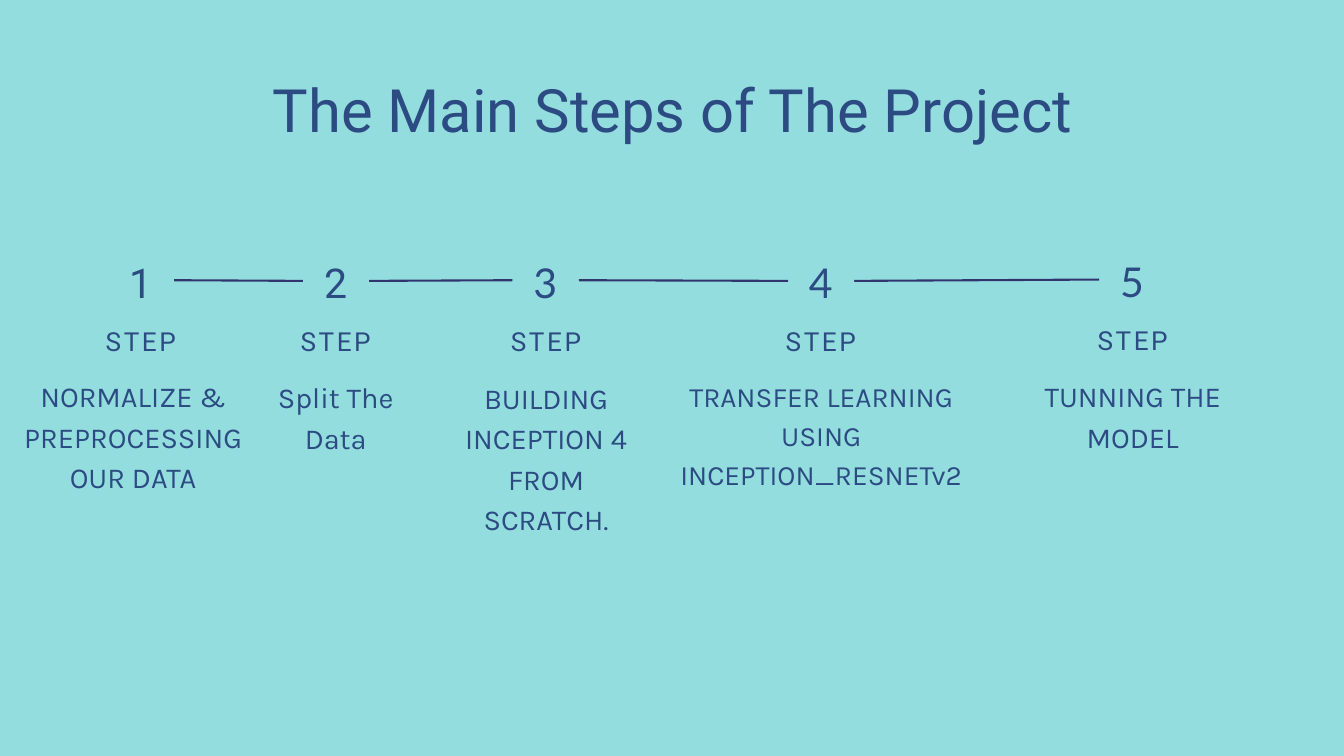
from itertools import pairwise
from pptx import Presentation
from pptx.dml.color import RGBColor as RGB
from pptx.enum.shapes import MSO_CONNECTOR as Conn, MSO_SHAPE as Shape
from pptx.enum.text import MSO_ANCHOR as Anchor, MSO_AUTO_SIZE as Auto, PP_ALIGN as Align
from pptx.oxml.ns import qn
from pptx.util import Emu, Pt
from lxml.etree import SubElement

AQUA = RGB(0x94, 0xDD, 0xDE)
BLUE = RGB(0x2B, 0x4B, 0x82)
NAVY = RGB(0x31, 0x35, 0x6E)
UNIT = 9144
FRAME = dict(margin_left=0, margin_right=0, margin_top=0, margin_bottom=0,
             word_wrap=True, auto_size=Auto.NONE)
STEPS = [
    dict(font="Roboto", left=161, top=360, rule=417, head=(75, 476, 269),
         body=(0, 555, 396, 176), size=31, lines=["NORMALIZE & PREPROCESSING OUR DATA"]),
    dict(font="Roboto", left=451, top=360, rule=418, head=(368, 477, 263),
         body=(368, 557, 263, 116), size=31, lines=["Split The Data"]),
    dict(font="Lato", left=763, top=360, rule=417, head=(678, 477, 269),
         body=(678, 557, 269, 235), size=31, lines=["BUILDING INCEPTION 4", "FROM SCRATCH."]),
    dict(font="Lato", left=1173, top=360, rule=418, head=(1075, 477, 293),
         body=(1000, 556, 444, 169), size=30, lines=["TRANSFER LEARNING USING INCEPTION_RESNETv2"]),
    dict(font="Lato", left=1636, top=359, rule=416, head=(1531, 475, 309),
         body=(1531, 555, 309, 116), size=31, lines=["TUNNING THE MODEL"]),
]


def px(*nums):
    return [Emu(n * UNIT) for n in nums]


def apply(obj, vals):
    for name, val in vals.items():
        setattr(obj, name, val)


class Deck:
    """Hold the style and the current slide, and draw each kind of element."""

    def __init__(self):
        self.prs = Presentation()
        self.prs.slide_width, self.prs.slide_height = px(2000, 1125)
        self.slide = self.prs.slides.add_slide(self.prs.slide_layouts[5])
        self.shapes = self.slide.shapes
        fill = self.slide.background.fill
        fill.solid()
        fill.fore_color.rgb = AQUA

    def style(self, shape, lines, font, size, lead, track=0, anchor=Anchor.TOP):
        frame = shape.text_frame
        apply(frame, dict(FRAME, vertical_anchor=anchor))
        frame.text = "\n".join(lines)
        for para in frame.paragraphs:
            apply(para, dict(alignment=Align.CENTER, line_spacing=Pt(lead),
                             space_before=Pt(0)))
            run = para.runs[0]
            apply(run.font, dict(name=font, size=Pt(size)))
            run.font.color.rgb = BLUE
            if track:
                run.font._element.set("spc", str(round(track * 100)))

    def title(self, text, box):
        shape = self.shapes.title
        apply(shape, dict(zip(("left", "top", "width", "height"), px(*box))))
        self.style(shape, [text], "Roboto", 64, 67.2)

    def text(self, lines, box, *form, **more):
        self.style(self.shapes.add_textbox(*px(*box)), lines, *form, **more)

    def patch(self, box):
        shape = self.shapes.add_shape(Shape.RECTANGLE, *px(*box))
        shape.shadow.inherit = False
        shape.fill.solid()
        shape.fill.fore_color.rgb = AQUA
        shape.line.fill.background()

    def rule(self, *ends):
        line = self.shapes.add_connector(Conn.STRAIGHT, *px(*ends))
        line.line.color.rgb = NAVY
        line.line.width = Pt(2.25)
        SubElement(line._element.spPr, qn("a:effectLst"))

    def step(self, num, font, left, top, rule, head, body, size, lines):
        if num > 1:
            self.patch((left, top + 9, 98, 97))
        self.text([str(num)], (left, top, 97, 106), font, 44, 61.6,
                  track=7.5, anchor=Anchor.MIDDLE)
        self.text(["STEP"], (*head, 52), "Roboto", 28, 39.2, track=2.8)
        self.text(lines, body, "Karla", size, size * 1.4)


def main():
    deck = Deck()
    deck.title("The Main Steps of The Project", (118, 122, 1765, 97))
    for a, b in pairwise(STEPS):
        deck.rule(a["left"] + 98, a["rule"], b["left"], b["rule"])
    for num, step in enumerate(STEPS, 1):
        deck.step(num, **step)
    deck.prs.save("out.pptx")


if __name__ == "__main__":
    main()
